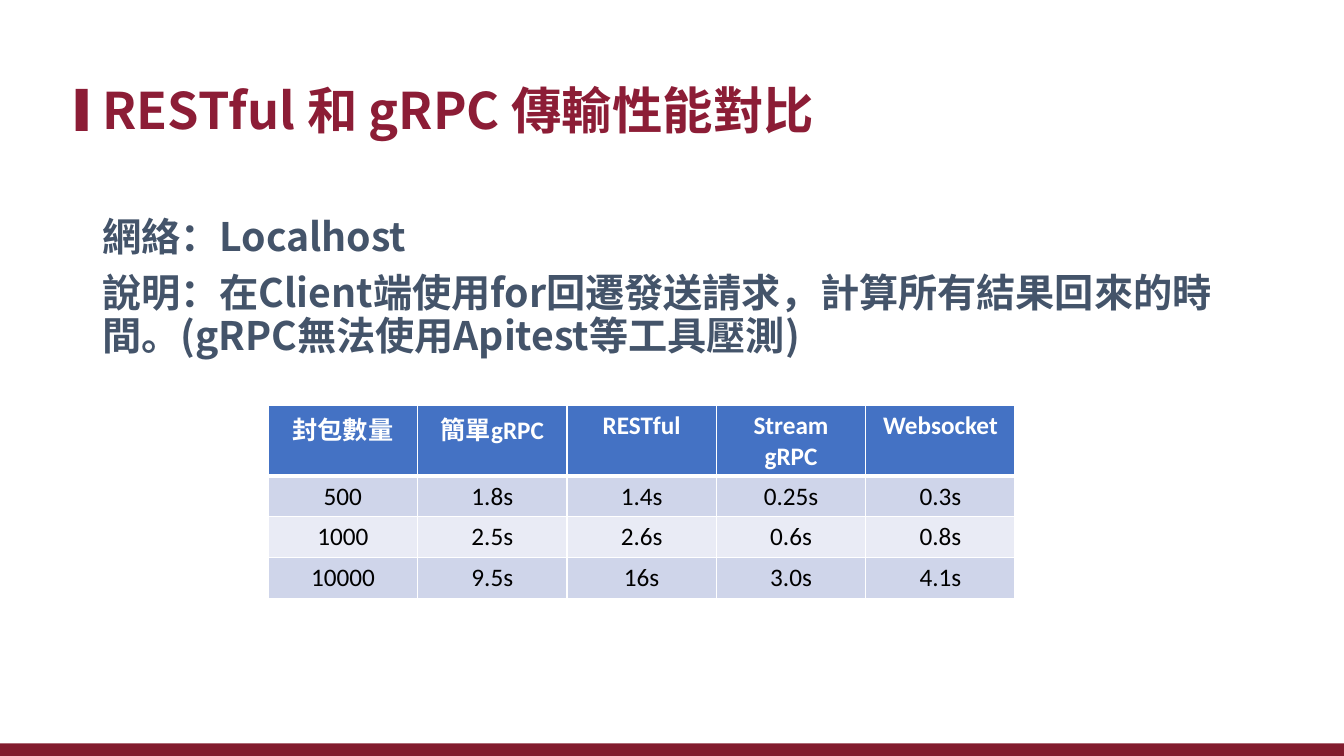
from lxml import etree
from pptx import Presentation
from pptx.dml.color import RGBColor
from pptx.enum import shapes, text
from pptx.oxml import ns
from pptx.util import Pt

CRIMSON = RGBColor(0x8C, 0x1D, 0x36)
WINE = RGBColor(0x82, 0x1C, 0x2E)
SLATE = RGBColor(0x44, 0x54, 0x6A)
BLUE = RGBColor(0x44, 0x72, 0xC4)
BAND_DARK = RGBColor(0xCF, 0xD5, 0xEA)
BAND_LIGHT = RGBColor(0xE9, 0xEB, 0xF5)
WHITE = RGBColor(0xFF, 0xFF, 0xFF)
BLACK = RGBColor(0, 0, 0)
CJK_FONT = "Noto Sans CJK SC"
TABLE_FONT = "Calibri"

TITLE = "RESTful 和 gRPC 傳輸性能對比"
NOTES = [
    "網絡：Localhost",
    "說明：在Client端使用for回遷發送請求，計算所有結果回來的時間。(gRPC無法使用Apitest等工具壓測)",
]
TIMINGS = [
    ["封包數量", "簡單gRPC", "RESTful", "Stream gRPC", "Websocket"],
    ["500", "1.8s", "1.4s", "0.25s", "0.3s"],
    ["1000", "2.5s", "2.6s", "0.6s", "0.8s"],
    ["10000", "9.5s", "16s", "3.0s", "4.1s"],
]


def style_runs(p, name, size, color, bold):
    """Format every run of a paragraph, for Latin and East Asian text."""
    for r in p.runs:
        r.font.name, r.font.size, r.font.bold = name, Pt(size), bold
        r.font.color.rgb = color
        ea = etree.SubElement(r.font._element, ns.qn("a:ea"))
        ea.set("typeface", CJK_FONT)


def add_bar(s, left, top, width, height, color):
    """Add a plain filled bar."""
    sp = s.shapes.add_shape(shapes.MSO_SHAPE.RECTANGLE, Pt(left), Pt(top), Pt(width), Pt(height))
    sp.shadow.inherit = False
    sp.fill.solid()
    sp.fill.fore_color.rgb = color
    sp.line.fill.background()


def add_title(s, left, top, width, height):
    """Place the title and the marker at its left."""
    add_bar(s, left - 12, top + 34.5, 8.6, 30, CRIMSON)
    sp = s.shapes.title
    sp.left, sp.top, sp.width, sp.height = Pt(left), Pt(top), Pt(width), Pt(height)
    tf = sp.text_frame
    tf.text = TITLE
    tf.word_wrap = True
    tf.vertical_anchor = text.MSO_ANCHOR.MIDDLE
    p = tf.paragraphs[0]
    p.alignment = text.PP_ALIGN.LEFT
    p.line_spacing = 0.9
    style_runs(p, CJK_FONT, 36, CRIMSON, True)


def add_notes(s, left, top, width, height):
    """Write the test conditions as paragraphs."""
    tf = s.shapes.add_textbox(Pt(left), Pt(top), Pt(width), Pt(height)).text_frame
    tf.word_wrap = True
    for i, note in enumerate(NOTES):
        p = tf.add_paragraph() if i else tf.paragraphs[0]
        p.text = note
        p.line_spacing = 0.9
        if i:
            p.space_before = Pt(10)
        style_runs(p, CJK_FONT, 28, SLATE, True)


def set_borders(cell, bottom):
    """Draw white cell borders with the given bottom width in points."""
    tc_pr = cell._tc.get_or_add_tcPr()
    for i, (side, width) in enumerate([("L", 1), ("R", 1), ("T", 1), ("B", bottom)]):
        ln = etree.Element(ns.qn(f"a:ln{side}"), w=str(Pt(width)))
        fill = etree.SubElement(ln, ns.qn("a:solidFill"))
        etree.SubElement(fill, ns.qn("a:srgbClr"), val=str(WHITE))
        tc_pr.insert(i, ln)


def add_timings(s, left, top, width, header_height, row_height):
    """Build the timing table with a blue header and banded rows."""
    n_rows, n_cols = len(TIMINGS), len(TIMINGS[0])
    height = header_height + row_height * (n_rows - 1)
    table = s.shapes.add_table(n_rows, n_cols, Pt(left), Pt(top), Pt(width), Pt(height)).table
    for column in table.columns:
        column.width = Pt(width / n_cols)
    for i, values in enumerate(TIMINGS):
        header = i == 0
        table.rows[i].height = Pt(header_height if header else row_height)
        for j, value in enumerate(values):
            cell = table.cell(i, j)
            cell.fill.solid()
            cell.fill.fore_color.rgb = BLUE if header else BAND_DARK if i % 2 else BAND_LIGHT
            set_borders(cell, 3 if header else 1)
            cell.text_frame.text = value
            p = cell.text_frame.paragraphs[0]
            p.alignment = text.PP_ALIGN.CENTER
            style_runs(p, TABLE_FONT, 18, WHITE if header else BLACK, header)


def main():
    """Build and save the slide."""
    prs = Presentation()
    prs.slide_width, prs.slide_height = Pt(960), Pt(540)
    s = prs.slides.add_slide(prs.slide_layouts[5])
    add_title(s, 66, 29, 828, 104.4)
    add_notes(s, 66, 152, 828, 120)
    add_timings(s, 191.6, 289.6, 533.5, 50.4, 29.2)
    add_bar(s, 0, 531, 960, 9, WINE)
    prs.save("out.pptx")


if __name__ == "__main__":
    main()
